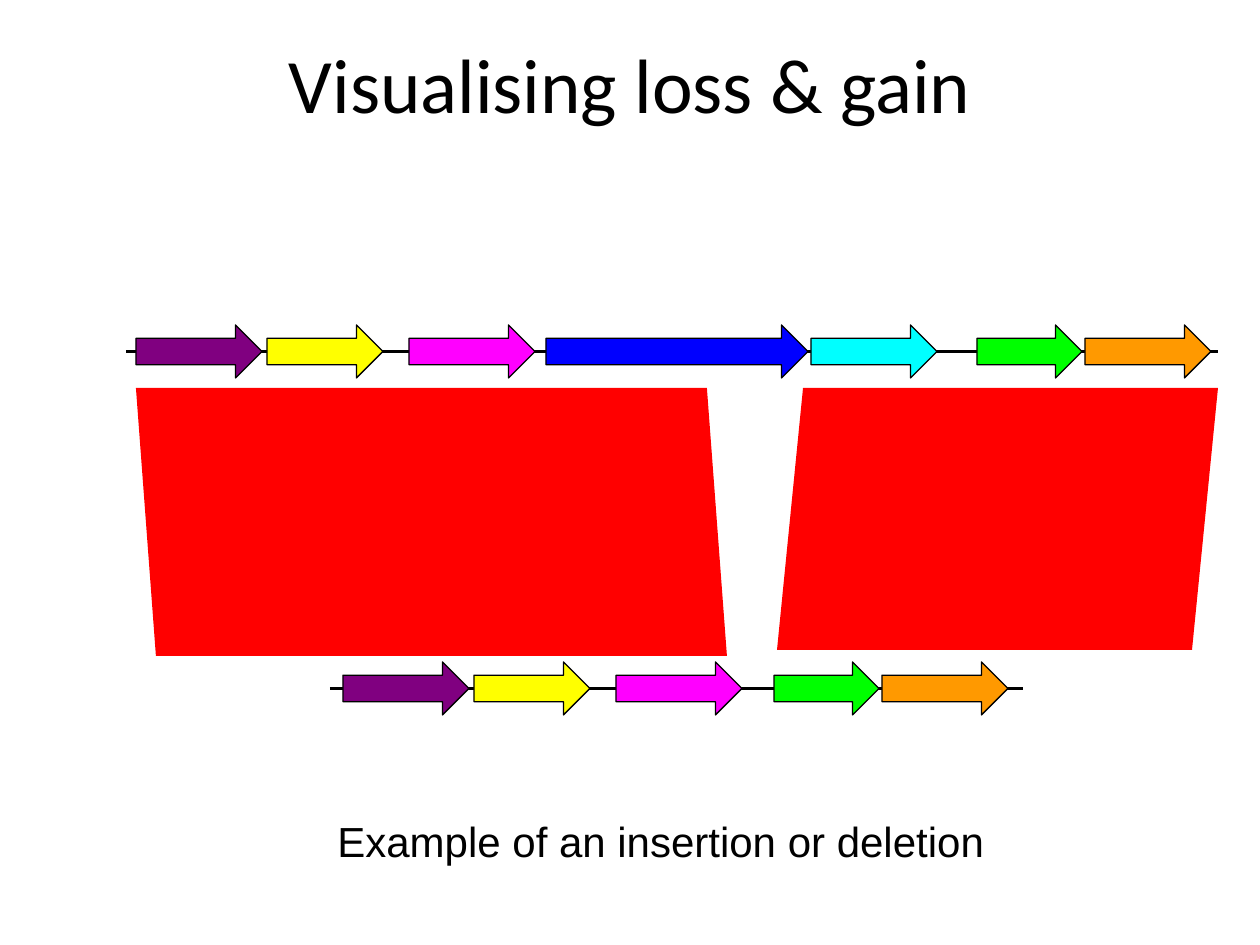
from lxml import etree
from pptx import Presentation
from pptx import util as u
from pptx.dml.color import RGBColor
from pptx.enum import shapes, text
from pptx.oxml.ns import qn

PX = u.Inches(1) / 126
COLORS = {
    "black": "000000", "purple": "800080", "yellow": "FFFF00", "magenta": "FF00FF",
    "blue": "0000FF", "cyan": "00FFFF", "green": "00FF00", "orange": "FF9900",
    "match": "FF0000",
}
GENE_WIDTHS = {"purple": 126, "yellow": 116, "magenta": 126, "blue": 262,
               "cyan": 126, "green": 105, "orange": 126}
LONG_GENOME = {"purple": 10, "yellow": 141, "magenta": 283, "blue": 420,
               "cyan": 685, "green": 851, "orange": 959}
SHORT_GENOME = {"purple": 13, "yellow": 144, "magenta": 286, "green": 444, "orange": 552}


def emu(*lengths):
    """Turn px lengths into EMU."""
    return [u.Emu(round(n * PX)) for n in lengths]


def rgb(name):
    """Look up a named colour."""
    return RGBColor.from_string(COLORS[name])


def write(sp, content, size, font, align, anchor):
    """Put one formatted paragraph into a shape."""
    tf = sp.text_frame
    tf.word_wrap = True
    tf.auto_size = text.MSO_AUTO_SIZE.NONE
    tf.vertical_anchor = anchor
    p = tf.paragraphs[0]
    p.alignment = align
    r = p.add_run()
    r.text = content
    r.font.size = u.Pt(size)
    r.font.name = font
    r.font.color.rgb = rgb("black")


def add_filled(s, kind, box, color, adjustments):
    """Add a filled preset shape without an outline or shadow."""
    sp = s.shapes.add_shape(kind, *emu(*box))
    for i, value in enumerate(adjustments):
        sp.adjustments[i] = value
    sp.shadow.inherit = False
    sp.fill.solid()
    sp.fill.fore_color.rgb = rgb(color)
    sp.line.fill.background()
    return sp


def add_genome(s, x, y, w, h, genes):
    """Draw a genome line with its gene arrows inside a box."""
    middle = y + h / 2
    line = s.shapes.add_connector(shapes.MSO_CONNECTOR.STRAIGHT,
                                  *emu(x, middle, x + w, middle))
    line.line.color.rgb = rgb("black")
    line.line.width = u.Pt(1.5)
    etree.SubElement(line.element.spPr, qn("a:effectLst"))
    for gene, offset in genes.items():
        sp = add_filled(s, shapes.MSO_SHAPE.RIGHT_ARROW,
                        (x + offset, y, GENE_WIDTHS[gene], h), gene, (0.5, 0.5))
        sp.line.color.rgb = rgb("black")
        sp.line.width = u.Pt(0.75)


def add_match(s, x, y, w, h, slant, mirrored=False):
    """Draw a matching region, its slant in px, leaning left unless mirrored."""
    sp = add_filled(s, shapes.MSO_SHAPE.PARALLELOGRAM, (x, y, w, h), "match",
                    (slant / min(w, h),))
    sp.rotation = 180
    if mirrored:
        sp.element.spPr.get_or_add_xfrm().set("flipH", "1")


def add_title(s, x, y, w, h, content):
    """Place and format the title placeholder."""
    sp = s.shapes.title
    sp.left, sp.top, sp.width, sp.height = emu(x, y, w, h)
    write(sp, content, 44, "Calibri", text.PP_ALIGN.CENTER, text.MSO_ANCHOR.MIDDLE)


def add_caption(s, x, y, w, h, content):
    """Add the caption below the diagram."""
    sp = s.shapes.add_textbox(*emu(x, y, w, h))
    write(sp, content, 24, "Arial", text.PP_ALIGN.LEFT, text.MSO_ANCHOR.TOP)


def main():
    """Build and save the slide."""
    prs = Presentation()
    prs.slide_width, prs.slide_height = emu(1260, 945)
    s = prs.slides.add_slide(prs.slide_layouts[5])
    add_title(s, 64, 4, 1132, 158, "Visualising loss & gain")
    add_genome(s, 126, 325, 1092, 53, LONG_GENOME)
    add_genome(s, 330, 662, 693, 53, SHORT_GENOME)
    add_match(s, 136, 388, 591, 268, 20, mirrored=True)
    add_match(s, 777, 388, 441, 262, 26)
    add_caption(s, 325, 809, 672, 63, "Example of an insertion or deletion")
    prs.save("out.pptx")


if __name__ == "__main__":
    main()
